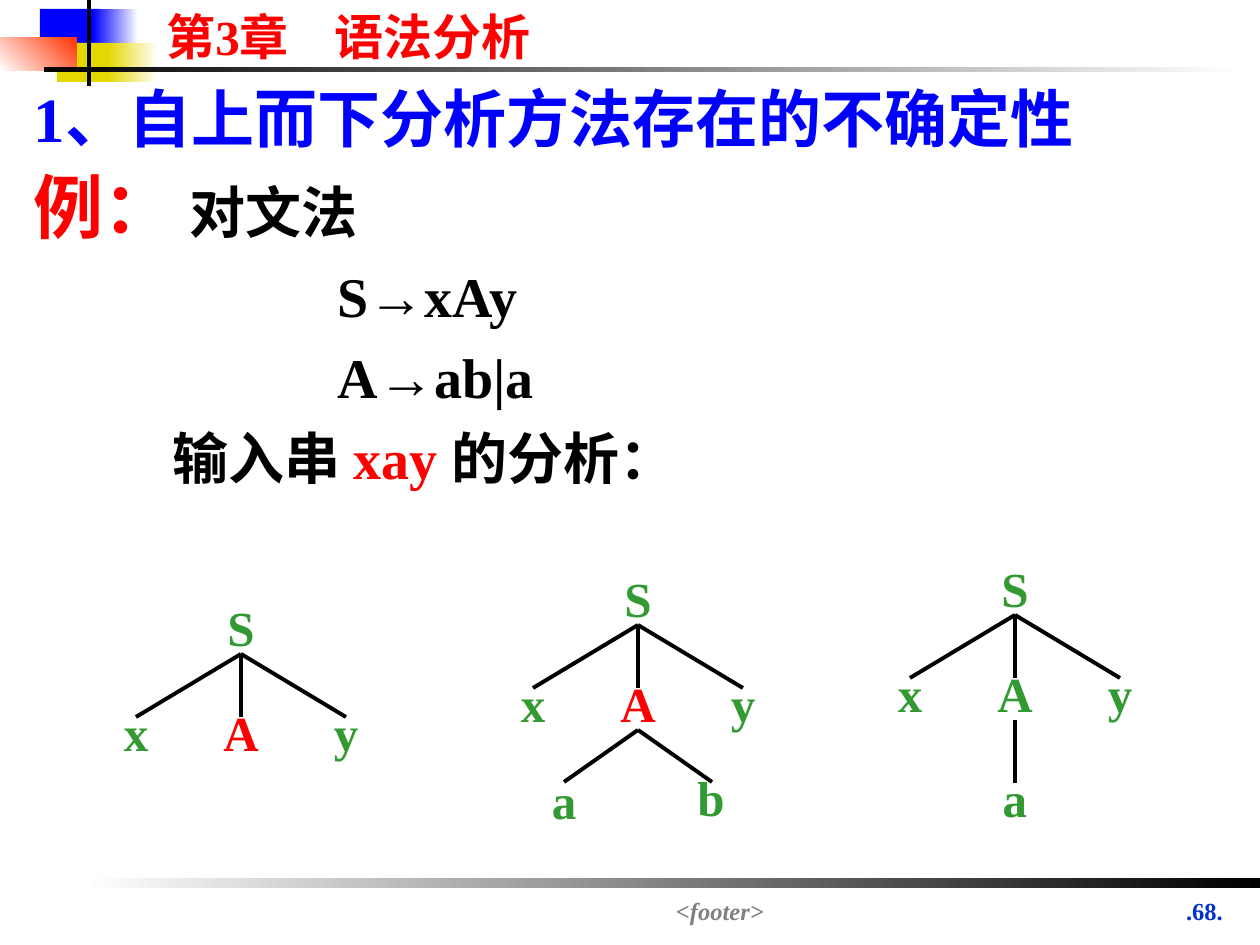
"""Build the slide on the uncertainty of top-down parsing."""
from dataclasses import dataclass

from lxml import etree
from pptx import Presentation
from pptx import util as u
from pptx.dml.color import RGBColor
from pptx.enum import shapes, text
from pptx.oxml.ns import qn

SCALE = 914400 / 126


@dataclass(frozen=True)
class Theme:
    font: str = "Times New Roman"
    black: str = "000000"
    white: str = "FFFFFF"
    blue: str = "0000FF"
    yellow: str = "E3D801"
    orange: str = "FF3300"
    red: str = "FF0000"
    green: str = "339933"
    grey: str = "808080"
    number_blue: str = "0033CC"
    small: int = 14
    label: int = 28
    body: int = 32
    heading: int = 36
    example: int = 40


theme = Theme()


def px(*lengths):
    return [u.Emu(round(length * SCALE)) for length in lengths]


def write(para, pieces, align=text.PP_ALIGN.LEFT, italic=False):
    para.alignment = align
    for words, size, colour in pieces:
        span = para.add_run()
        span.text = words
        style = {"name": theme.font, "size": u.Pt(size), "bold": True, "italic": italic}
        for name, value in style.items():
            setattr(span.font, name, value)
        span.font.color.rgb = RGBColor.from_string(colour)


deck = Presentation()
deck.slide_width, deck.slide_height = px(1260, 945)
page = deck.slides.add_slide(deck.slide_layouts[1])

bars = [
    (40, 9, 60, 39, theme.blue, None, 0),
    (93, 9, 45, 39, theme.blue, theme.white, 0),
    (57, 43, 58, 39, theme.yellow, None, 0),
    (108, 43, 50, 39, theme.yellow, theme.white, 0),
    (0, 37, 77, 34, theme.orange, theme.white, 225),
    (87, 0, 4, 86, theme.black, None, 0),
    (44, 67, 1198, 5, theme.black, theme.white, 0),
    (84, 878, 1176, 10, theme.white, theme.black, 0),
]
for left, top, width, height, start, end, angle in bars:
    bar = page.shapes.add_shape(shapes.MSO_SHAPE.RECTANGLE, *px(left, top, width, height))
    bar.shadow.inherit = False
    bar.line.fill.background()
    if end is None:
        bar.fill.solid()
        bar.fill.fore_color.rgb = RGBColor.from_string(start)
    else:
        bar.fill.gradient()
        bar.fill.gradient_angle = angle
        for stop, colour, position in zip(bar.fill.gradient_stops, (start, end), (0, 1)):
            stop.color.rgb = RGBColor.from_string(colour)
            stop.position = position

title = page.shapes.title
body = page.placeholders[1]
for box, place in ((title, (21, 73, 1207, 88)), (body, (21, 157, 1144, 325))):
    box.left, box.top, box.width, box.height = px(*place)
    frame = {"word_wrap": True, "auto_size": text.MSO_AUTO_SIZE.NONE,
             "vertical_anchor": text.MSO_ANCHOR.TOP}
    for name, value in frame.items():
        setattr(box.text_frame, name, value)

write(title.text_frame.paragraphs[0],
      [("1、自上而下分析方法存在的不确定性", theme.heading, theme.blue)])

lines = [
    (0, [("例： ", theme.example, theme.red), ("对文法", theme.body, theme.black)]),
    (304, [("S→xAy", theme.body, theme.black)]),
    (304, [("A→ab|a", theme.body, theme.black)]),
    (139, [("输入串 ", theme.body, theme.black), ("xay ", theme.body, theme.red),
           ("的分析：", theme.body, theme.black)]),
]
for index, (indent, pieces) in enumerate(lines):
    para = body.text_frame.paragraphs[0] if index == 0 else body.text_frame.add_paragraph()
    layout = para._p.get_or_add_pPr()
    layout.set("marL", str(px(indent)[0]))
    layout.set("indent", "0")
    etree.SubElement(layout, qn("a:buNone"))
    para.space_before = u.Pt(8 if index else 0)
    write(para, pieces)

chapter = page.shapes.add_textbox(*px(154, 0, 407, 72))
chapter_para = chapter.text_frame.paragraphs[0]
tabs = etree.SubElement(chapter_para._p.get_or_add_pPr(), qn("a:tabLst"))
etree.SubElement(tabs, qn("a:tab"), pos=str(px(168)[0]), algn="l")
write(chapter_para, [("第3章\t语法分析", theme.label, theme.red)])

margins = [
    ((1152, 890, 105, 33), ".68.", theme.number_blue, False),
    ((253, 890, 934, 33), "<footer>", theme.grey, True),
]
for place, words, colour, italic in margins:
    box = page.shapes.add_textbox(*px(*place))
    box.text_frame.word_wrap = True
    write(box.text_frame.paragraphs[0], [(words, theme.small, colour)],
          text.PP_ALIGN.CENTER, italic)

# 
root_nodes = [("S", 0, 0), ("A", 0, 105), ("x", -105, 105), ("y", 105, 105)]
root_edges = [(0, 63, end, 126) for end in (0, -105, 105)]
trees = [
    (241, 591, theme.red, [], []),
    (638, 562, theme.red, [("a", -74, 202), ("b", 73, 199)],
     [(0, 168, -74, 220), (0, 168, 74, 220)]),
    (1015, 552, theme.green, [("a", 0, 210)], [(0, 168, 0, 231)]),
]
for centre, top, focus, leaves, branches in trees:
    tree = page.shapes.add_group_shape()
    for label, across, down in root_nodes + leaves:
        box = tree.shapes.add_textbox(*px(centre + across - 42, top + down, 84, 72))
        box.text_frame.word_wrap = True
        box.text_frame.vertical_anchor = text.MSO_ANCHOR.BOTTOM
        colour = focus if label == "A" else theme.green
        write(box.text_frame.paragraphs[0], [(label, theme.label, colour)],
              text.PP_ALIGN.CENTER)
    for x1, y1, x2, y2 in root_edges + branches:
        edge = tree.shapes.add_connector(
            shapes.MSO_CONNECTOR.STRAIGHT,
            *px(centre + x1, top + y1, centre + x2, top + y2))
        edge.line.width = u.Pt(2.25)
        edge.line.color.rgb = RGBColor.from_string(theme.black)
        etree.SubElement(edge._element.spPr, qn("a:effectLst"))

deck.save("out.pptx")
